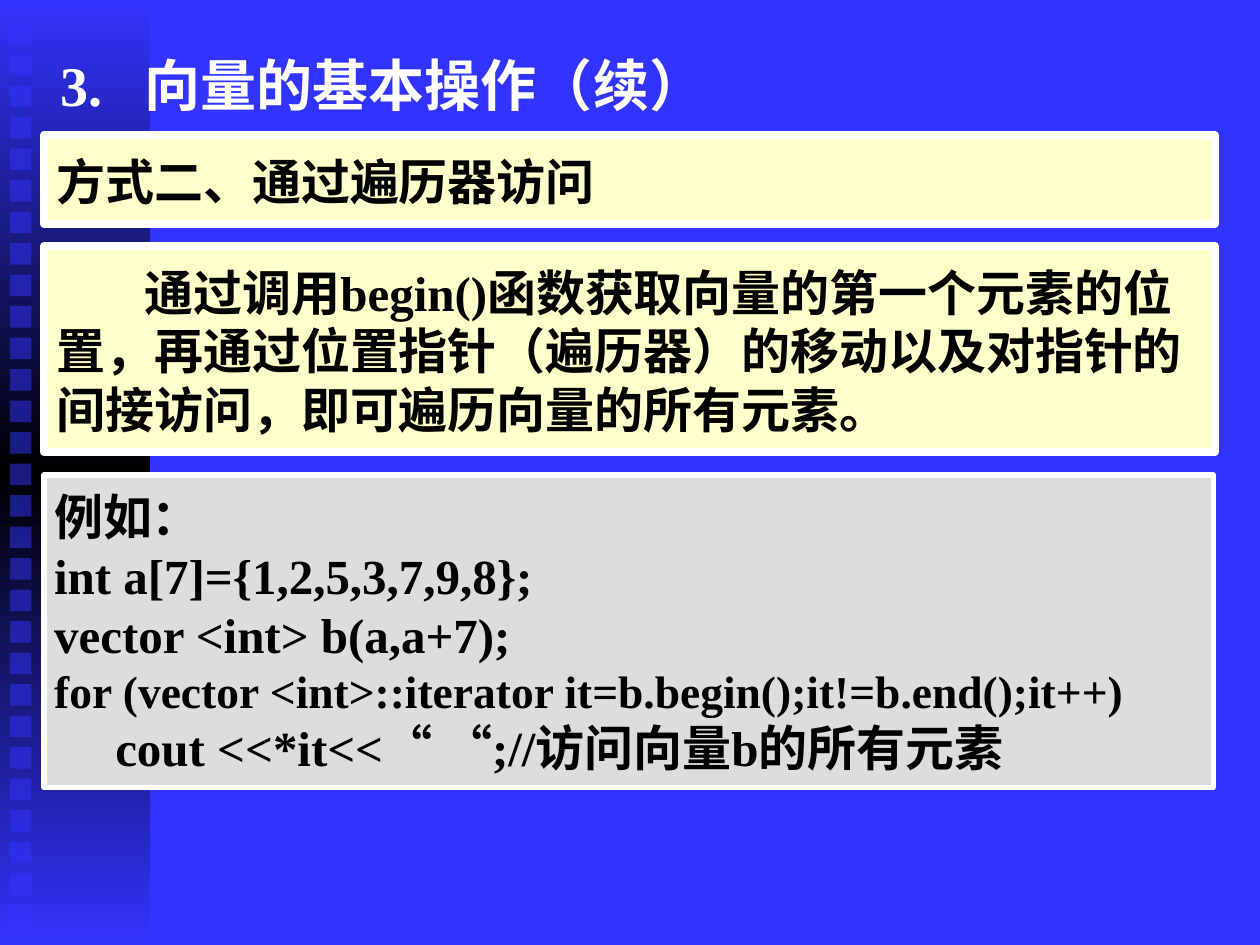
from copy import deepcopy
from dataclasses import dataclass

from lxml.etree import SubElement
from pptx import Presentation
from pptx.dml.color import RGBColor
from pptx.enum.shapes import MSO_SHAPE
from pptx.enum.text import MSO_ANCHOR, MSO_AUTO_SIZE, PP_ALIGN
from pptx.oxml.ns import qn
from pptx.shapes.autoshape import Shape
from pptx.slide import Slide
from pptx.util import Inches, Pt


@dataclass(frozen=True)
class Theme:
    font: str = "Times New Roman"
    blue: RGBColor = RGBColor(0x33, 0x33, 0xFF)
    black: RGBColor = RGBColor(0, 0, 0)
    white: RGBColor = RGBColor(0xFF, 0xFF, 0xFF)
    cream: RGBColor = RGBColor(0xFF, 0xFF, 0xCC)
    grey: RGBColor = RGBColor(0xDD, 0xDD, 0xDD)
    head: int = 32
    body: int = 28
    small: int = 26


@dataclass(frozen=True)
class Line:
    text: str
    size: int
    indent: float = 0
    margin: float = 0


@dataclass(frozen=True)
class Panel:
    top: float
    width: float
    height: float
    fill: RGBColor
    border: float
    inset: tuple[float, float]
    lines: tuple[Line, ...]
    grow: bool = False


THEME = Theme()
LEFT = 0.35

PANELS = (
    Panel(1.07, 9.29, 0.71, THEME.cream, 4.5, (0.1, 0.13),
          (Line("方式二、通过遍历器访问", THEME.body),)),
    Panel(1.95, 9.29, 1.64, THEME.cream, 4.5, (0.1, 0.13),
          (Line("通过调用begin()函数获取向量的第一个元素的位置，"
                "再通过位置指针（遍历器）的移动以及对指针的间接访问，"
                "即可遍历向量的所有元素。", THEME.body, 0.7),)),
    Panel(3.77, 9.28, 2.48, THEME.grey, 3, (0.08, 0.09),
          (Line("例如：", THEME.body),
           Line("int a[7]={1,2,5,3,7,9,8};", THEME.body),
           Line("vector <int> b(a,a+7);", THEME.body),
           Line("for (vector <int>::iterator it=b.begin();it!=b.end();it++)",
                THEME.small),
           Line("     cout <<*it<<“ “;//访问向量b的所有元素", THEME.body)),
          grow=True),
)


def add_rect(slide: Slide, left: float, top: float,
             width: float, height: float) -> Shape:
    rect = slide.shapes.add_shape(
        MSO_SHAPE.RECTANGLE, Inches(left), Inches(top),
        Inches(width), Inches(height))
    rect.shadow.inherit = False
    rect.line.fill.background()
    return rect


def write(shape: Shape, lines: tuple[Line, ...], color: RGBColor,
          inset: tuple[float, float], anchor: MSO_ANCHOR) -> None:
    frame = shape.text_frame
    frame.word_wrap = True
    frame.vertical_anchor = anchor
    frame.margin_left = frame.margin_right = Inches(inset[0])
    frame.margin_top, frame.margin_bottom = Inches(inset[1]), Inches(0.05)
    for i, line in enumerate(lines):
        para = frame.add_paragraph() if i else frame.paragraphs[0]
        para.text = line.text
        para.alignment = PP_ALIGN.LEFT
        props = para._p.get_or_add_pPr()
        props.set("marL", str(Inches(line.margin)))
        props.set("indent", str(Inches(line.indent)))
        font = para.font
        font.name, font.size, font.bold = THEME.font, Pt(line.size), True
        font.color.rgb = color


def add_band(slide: Slide) -> None:
    band = add_rect(slide, 0, 0, 1.19, 7.5)
    band.fill.gradient()
    band.fill.gradient_angle = 90
    first, last = band.fill.gradient_stops
    first.color.rgb = last.color.rgb = THEME.blue
    first.position, last.position = 0, 1
    stops = band._element.spPr.find(".//" + qn("a:gsLst"))
    middle = deepcopy(stops[0])
    middle.set("pos", "50000")
    middle[0].set("val", str(THEME.black))
    stops.insert(1, middle)


def add_dots(slide: Slide) -> None:
    for i in range(29):
        dot = add_rect(slide, 0.08, 0.18 + 0.25 * i, 0.17, 0.17)
        dot.fill.solid()
        dot.fill.fore_color.rgb = THEME.blue
        color = dot._element.spPr.find(".//" + qn("a:srgbClr"))
        SubElement(color, qn("a:alpha"), val="50000")


def add_title(slide: Slide) -> None:
    box = slide.shapes.add_textbox(
        Inches(0.27), Inches(0.29), Inches(8.5), Inches(0.75))
    line = Line("3.\t向量的基本操作（续）", THEME.head, -0.67, 0.67)
    write(box, (line,), THEME.white, (0.21, 0.05), MSO_ANCHOR.MIDDLE)


def add_panel(slide: Slide, panel: Panel) -> None:
    box = add_rect(slide, LEFT, panel.top, panel.width, panel.height)
    box.fill.solid()
    box.fill.fore_color.rgb = panel.fill
    box.line.color.rgb = THEME.white
    box.line.width = Pt(panel.border)
    write(box, panel.lines, THEME.black, panel.inset, MSO_ANCHOR.TOP)
    if panel.grow:
        box.text_frame.auto_size = MSO_AUTO_SIZE.SHAPE_TO_FIT_TEXT


def main() -> None:
    deck = Presentation()
    deck.slide_width, deck.slide_height = Inches(10), Inches(7.5)
    slide = deck.slides.add_slide(deck.slide_layouts[6])
    back = slide.background.fill
    back.solid()
    back.fore_color.rgb = THEME.blue
    add_band(slide)
    add_dots(slide)
    add_title(slide)
    for panel in PANELS:
        add_panel(slide, panel)
    deck.save("out.pptx")


if __name__ == "__main__":
    main()
